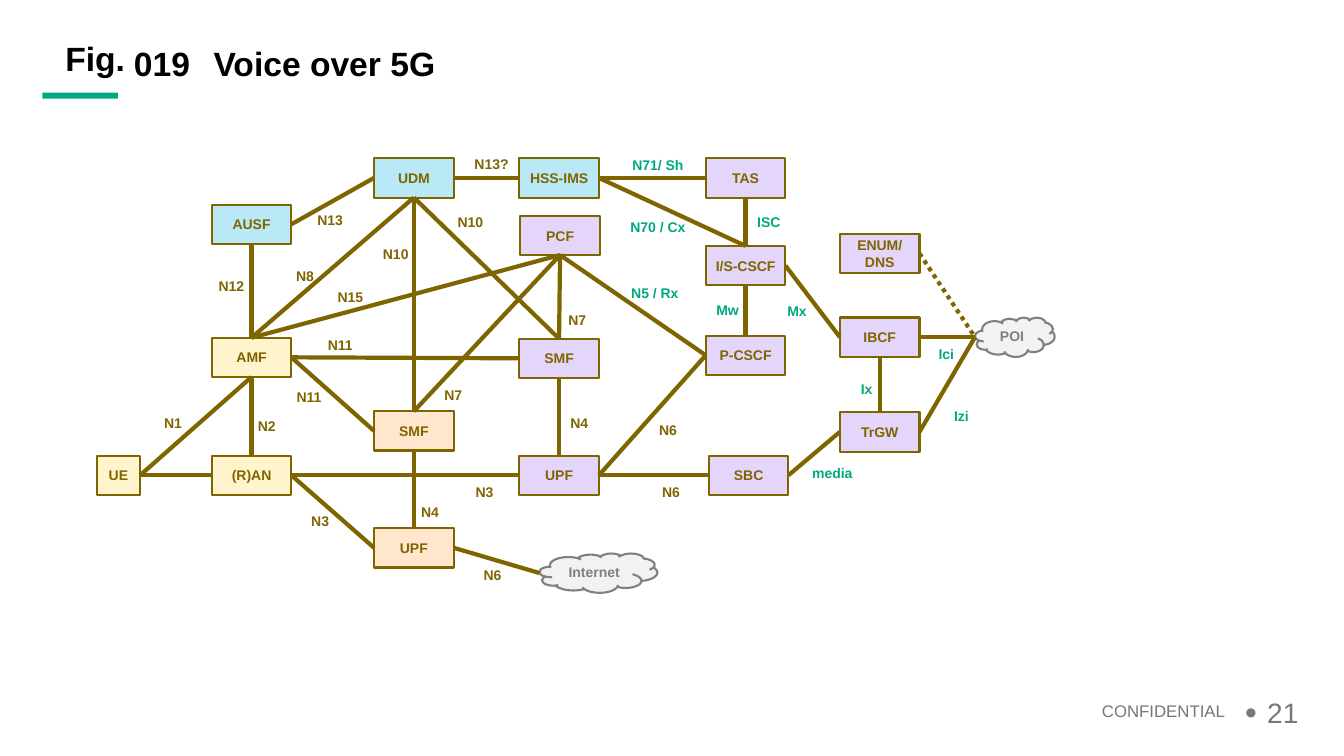
from pptx import Presentation
from pptx.dml.color import RGBColor
from pptx.enum.dml import MSO_LINE
from pptx.enum.shapes import MSO_CONNECTOR, MSO_SHAPE
from pptx.enum.text import MSO_ANCHOR, PP_ALIGN
from pptx.oxml.ns import qn
from pptx.util import Inches, Pt
from lxml.etree import SubElement

COLORS = {
    "black": "000000", "green": "01A982", "footer": "787871", "brown": "7F6500",
    "yellow": "FFF4CC", "purple": "E4D6FB", "blue": "B9E9F6", "orange": "FFE6CC",
    "cloud": "F2F2F2", "gray": "808080",
}
NODE_WIDTH, NODE_HEIGHT = 0.79, 0.39
TOP, LEFT, BOTTOM, RIGHT = range(4)

NODES = {
    "UE": ("UE", 0.96, 4.52, 0.43, "yellow"),
    "RAN": ("(R)AN", 2.1, 4.52, NODE_WIDTH, "yellow"),
    "AMF": ("AMF", 2.1, 3.35, NODE_WIDTH, "yellow"),
    "AUSF": ("AUSF", 2.1, 2.03, NODE_WIDTH, "blue"),
    "UDM": ("UDM", 3.71, 1.57, NODE_WIDTH, "blue"),
    "HSS": ("HSS-IMS", 5.15, 1.57, NODE_WIDTH, "blue"),
    "PCF": ("PCF", 5.16, 2.14, NODE_WIDTH, "purple"),
    "SMF": ("SMF", 5.15, 3.36, NODE_WIDTH, "purple"),
    "UPF": ("UPF", 5.15, 4.52, NODE_WIDTH, "purple"),
    "data SMF": ("SMF", 3.71, 4.08, NODE_WIDTH, "orange"),
    "data UPF": ("UPF", 3.71, 5.24, NODE_WIDTH, "orange"),
    "TAS": ("TAS", 7, 1.57, NODE_WIDTH, "purple"),
    "I/S-CSCF": ("I/S-CSCF", 7, 2.44, NODE_WIDTH, "purple"),
    "P-CSCF": ("P-CSCF", 7, 3.33, NODE_WIDTH, "purple"),
    "SBC": ("SBC", 7.03, 4.52, NODE_WIDTH, "purple"),
    "ENUM": ("ENUM/\nDNS", 8.33, 2.32, NODE_WIDTH, "purple"),
    "IBCF": ("IBCF", 8.33, 3.15, NODE_WIDTH, "purple"),
    "TrGW": ("TrGW", 8.33, 4.09, NODE_WIDTH, "purple"),
    "POI": ("POI", 9.67, 3.15, NODE_WIDTH, "cloud"),
    "Internet": ("Internet", 5.35, 5.49, 1.17, "cloud"),
}
LINKS = [
    ("UE", RIGHT, "RAN", LEFT), ("AMF", BOTTOM, "RAN", TOP), ("UE", RIGHT, "AMF", BOTTOM),
    ("RAN", RIGHT, "UPF", LEFT), ("UPF", RIGHT, "P-CSCF", LEFT), ("SMF", BOTTOM, "UPF", TOP),
    ("UDM", BOTTOM, "SMF", TOP), ("PCF", BOTTOM, "SMF", TOP), ("AMF", TOP, "AUSF", BOTTOM),
    ("AUSF", RIGHT, "UDM", LEFT), ("AMF", TOP, "PCF", BOTTOM), ("AMF", RIGHT, "SMF", LEFT),
    ("AMF", TOP, "UDM", BOTTOM), ("data UPF", RIGHT, "Internet", LEFT),
    ("data SMF", BOTTOM, "data UPF", TOP), ("RAN", RIGHT, "data UPF", LEFT),
    ("AMF", RIGHT, "data SMF", LEFT), ("PCF", BOTTOM, "data SMF", TOP),
    ("UDM", BOTTOM, "data SMF", TOP), ("PCF", BOTTOM, "P-CSCF", LEFT),
    ("HSS", RIGHT, "I/S-CSCF", TOP), ("I/S-CSCF", BOTTOM, "P-CSCF", TOP),
    ("TAS", LEFT, "HSS", RIGHT), ("HSS", LEFT, "UDM", RIGHT), ("UPF", RIGHT, "SBC", LEFT),
    ("TAS", BOTTOM, "I/S-CSCF", TOP), ("TrGW", RIGHT, "POI", LEFT),
    ("IBCF", RIGHT, "POI", LEFT), ("ENUM", RIGHT, "POI", LEFT),
    ("I/S-CSCF", RIGHT, "IBCF", LEFT), ("TrGW", LEFT, "SBC", RIGHT),
    ("TrGW", TOP, "IBCF", BOTTOM),
]
LABELS = {
    "brown": [
        ("N1", 1.32, 4), ("N2", 2.25, 4.03), ("N3", 4.41, 4.68), ("N4", 5.35, 4),
        ("N6", 6.26, 4.68), ("N10", 4.27, 2.01), ("N15", 3.08, 2.75), ("N7", 5.33, 2.98),
        ("N12", 1.9, 2.64), ("N11", 2.98, 3.23), ("N13", 2.88, 1.99), ("N8", 2.63, 2.54),
        ("N4", 3.87, 4.88), ("N6", 4.49, 5.51), ("N3", 2.78, 4.97), ("N11", 2.67, 3.74),
        ("N7", 4.1, 3.72), ("N10", 3.53, 2.32), ("N13?", 4.48, 1.43), ("N6", 6.23, 4.07),
    ],
    "green": [
        ("N5 / Rx", 6.1, 2.71), ("N71/ Sh", 6.13, 1.44), ("N70 / Cx", 6.13, 2.06),
        ("ISC", 7.23, 2.01), ("Mw", 6.82, 2.88), ("Mx", 7.51, 2.89), ("Izi", 9.14, 3.93),
        ("Ici", 8.99, 3.32), ("Ix", 8.2, 3.66), ("media", 7.86, 4.5),
    ],
}


def color(name):
    return RGBColor.from_string(COLORS[name])


def write(shape, text, size, color_name, bold=True, align=PP_ALIGN.LEFT,
          anchor=MSO_ANCHOR.TOP, spacing=0.9):
    frame = shape.text_frame
    frame.vertical_anchor = anchor
    for index, line in enumerate(text.split("\n")):
        paragraph = frame.add_paragraph() if index else frame.paragraphs[0]
        paragraph.alignment = align
        paragraph.line_spacing = spacing
        run = paragraph.add_run()
        run.text = line
        run.font.name = "Arial"
        run.font.size = Pt(size)
        run.font.bold = bold
        run.font.color.rgb = color(color_name)


def add_text(slide, box, text, size, color_name, wrap=True, **style):
    shape = slide.shapes.add_textbox(*map(Inches, box))
    shape.text_frame.word_wrap = wrap
    write(shape, text, size, color_name, **style)
    return shape


def add_header(slide, left, top):
    accent = slide.shapes.add_shape(
        MSO_SHAPE.RECTANGLE, Inches(left), Inches(top + 0.5), Inches(0.75), Inches(0.06))
    accent.shadow.inherit = False
    accent.fill.solid()
    accent.fill.fore_color.rgb = color("green")
    accent.line.fill.background()
    prefix = add_text(slide, (left + 0.03, top, 0.79, 0.47), "Fig.", 24, "black",
                      align=PP_ALIGN.RIGHT)
    frame = prefix.text_frame
    frame.margin_left = frame.margin_top = frame.margin_right = frame.margin_bottom = 0
    add_text(slide, (left + 0.81, top, 0.79, 0.47), "019", 24, "black")
    add_text(slide, (left + 1.6, top, 10.9, 0.47), "Voice over 5G", 24, "black")


def add_footer(slide, left, top):
    add_text(slide, (left, top + 0.04, 4.5, 0.24), "CONFIDENTIAL", 12, "footer",
             bold=False, align=PP_ALIGN.RIGHT)
    number = add_text(slide, (left + 4.5, top, 0.75, 0.4), "21", 20, "footer",
                      bold=False, anchor=MSO_ANCHOR.MIDDLE)
    properties = number.text_frame.paragraphs[0]._p.get_or_add_pPr()
    properties.set("marL", str(Inches(0.22)))
    properties.set("indent", str(Inches(-0.22)))
    SubElement(properties, qn("a:buSzPct"), val="120000")
    SubElement(properties, qn("a:buFont"), typeface="Arial")
    SubElement(properties, qn("a:buChar"), char="•")


def add_node(slide, text, left, top, width, fill):
    is_cloud = fill == "cloud"
    outline = "gray" if is_cloud else "brown"
    shape = slide.shapes.add_shape(
        MSO_SHAPE.CLOUD if is_cloud else MSO_SHAPE.RECTANGLE,
        Inches(left), Inches(top), Inches(width), Inches(NODE_HEIGHT))
    shape.shadow.inherit = False
    shape.fill.solid()
    shape.fill.fore_color.rgb = color(fill)
    shape.line.color.rgb = color(outline)
    shape.line.width = Pt(1.5)
    shape.text_frame.word_wrap = True
    write(shape, text, 10, outline, align=PP_ALIGN.CENTER, anchor=MSO_ANCHOR.MIDDLE, spacing=1.0)
    return shape


def side_point(shape, side):
    across = {LEFT: 0, RIGHT: shape.width}.get(side, shape.width // 2)
    down = {TOP: 0, BOTTOM: shape.height}.get(side, shape.height // 2)
    return shape.left + across, shape.top + down


def add_link(slide, start, start_side, end, end_side, dotted):
    connector = slide.shapes.add_connector(
        MSO_CONNECTOR.STRAIGHT, *side_point(start, start_side), *side_point(end, end_side))
    connector.begin_connect(start, start_side)
    if end.auto_shape_type != MSO_SHAPE.CLOUD:
        connector.end_connect(end, end_side)
    connector.line.color.rgb = color("brown")
    connector.line.width = Pt(3)
    if dotted:
        connector.line.dash_style = MSO_LINE.ROUND_DOT
    SubElement(connector._element.spPr, qn("a:effectLst"))


def add_network(slide, left, top):
    shapes = {
        key: add_node(slide, text, left + x, top + y, width, fill)
        for key, (text, x, y, width, fill) in NODES.items()
    }
    for start, start_side, end, end_side in LINKS:
        add_link(slide, shapes[start], start_side, shapes[end], end_side, start == "ENUM")
    for color_name, labels in LABELS.items():
        for text, x, y in labels:
            add_text(slide, (left + x, top + y, NODE_WIDTH, NODE_HEIGHT), text, 10, color_name,
                     wrap=False, align=PP_ALIGN.CENTER, anchor=MSO_ANCHOR.MIDDLE, spacing=1.0)


def main():
    presentation = Presentation()
    presentation.slide_width = Inches(13.33)
    presentation.slide_height = Inches(7.5)
    slide = presentation.slides.add_slide(presentation.slide_layouts[6])
    add_header(slide, 0.42, 0.42)
    add_footer(slide, 7.75, 6.89)
    add_network(slide, 0, 0)
    presentation.save("out.pptx")


if __name__ == "__main__":
    main()
